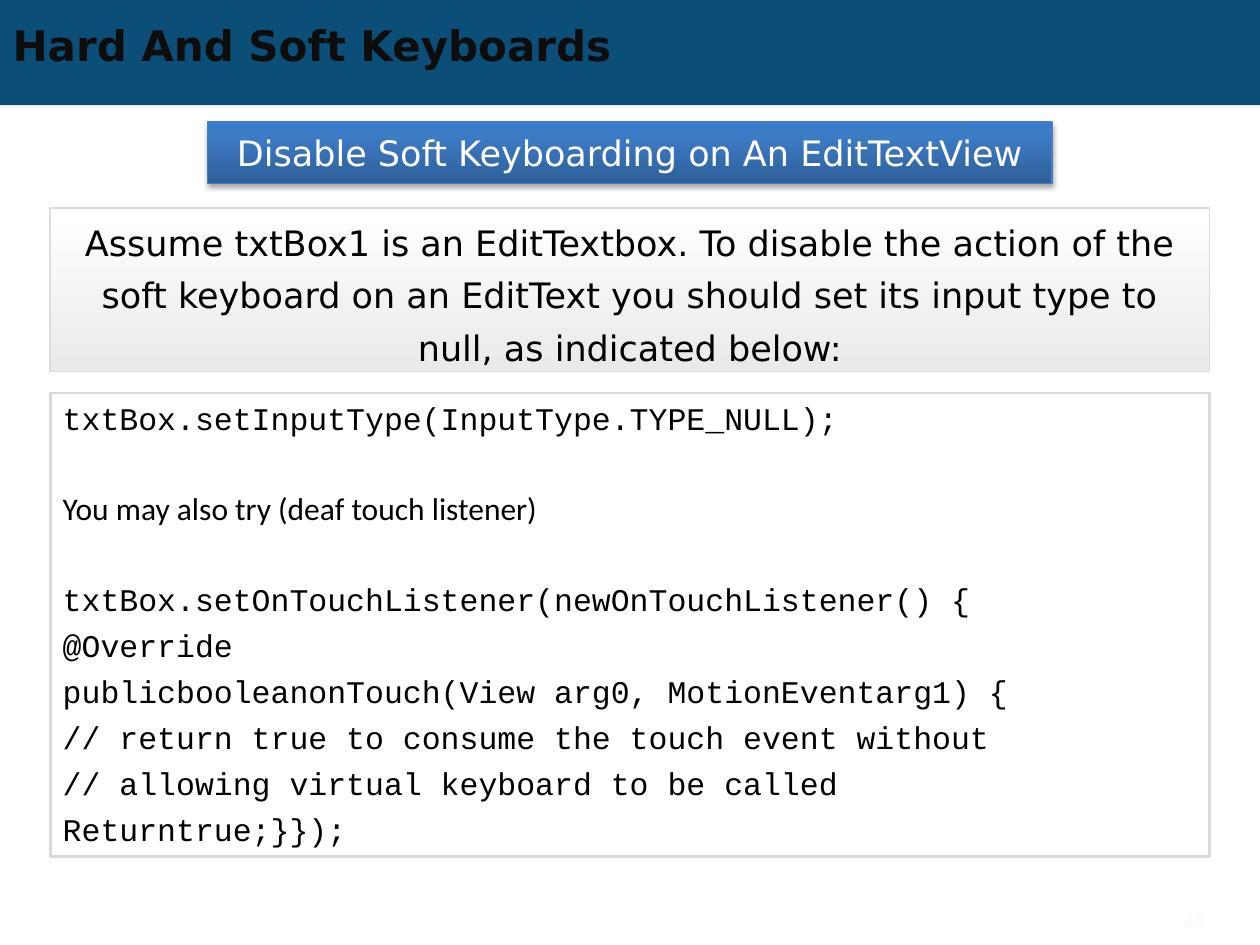
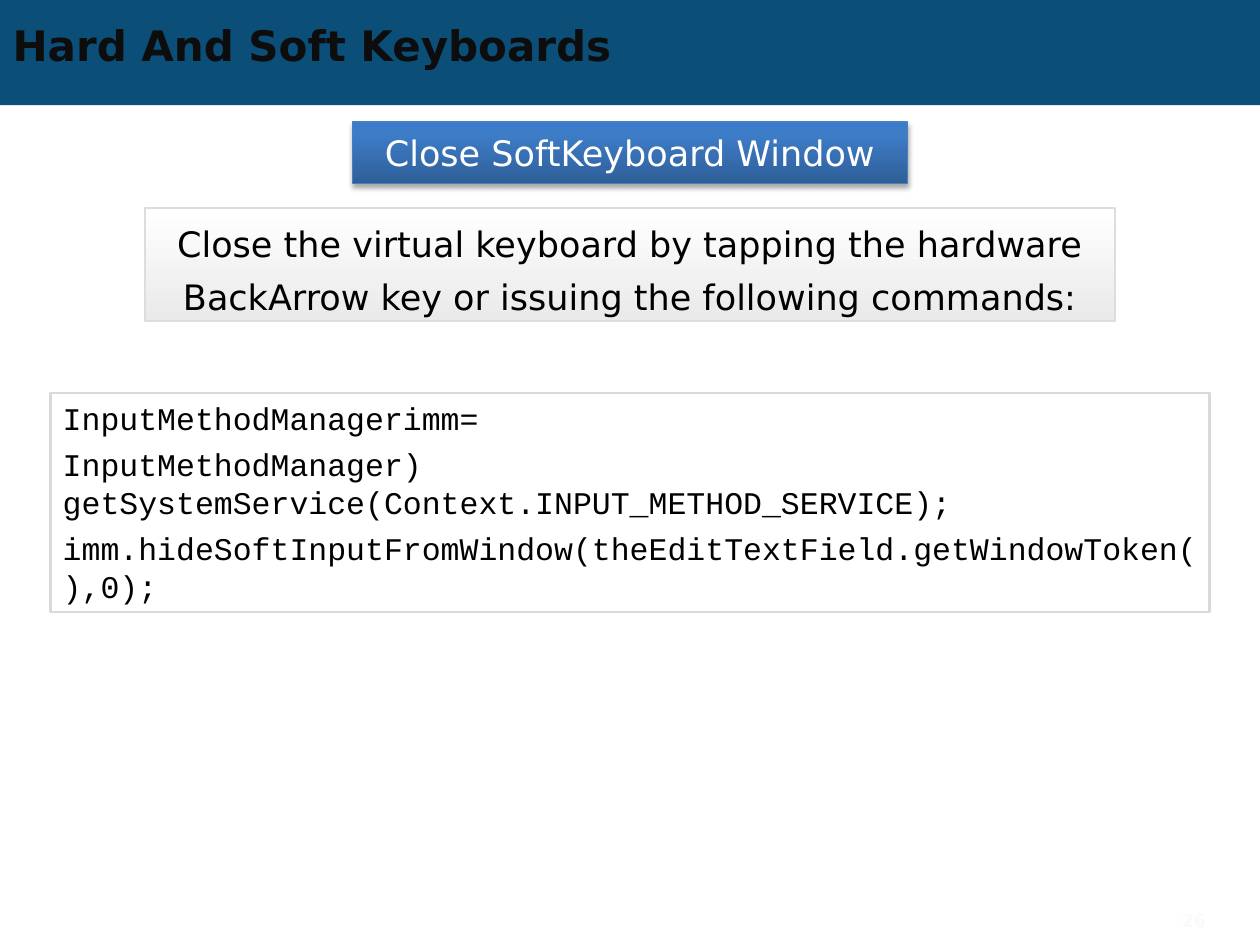
import pptx
import pptx.dml.color
import pptx.enum.shapes
import pptx.enum.text
import pptx.oxml
import pptx.oxml.ns
import pptx.util
from lxml import etree

Cm, Pt = pptx.util.Cm, pptx.util.Pt
qn = pptx.oxml.ns.qn
ALIGN = pptx.enum.text.PP_ALIGN
ANCHOR = pptx.enum.text.MSO_ANCHOR

COLORS = {
    "band": "0B4E78", "title": "0D0D0D", "number": "FAFAFA",
    "white": "FFFFFF", "black": "000000",
    "topic_low": "2F5F99", "topic_mid": "3D7CC7", "topic_high": "3A7CCB",
    "topic_line": "4B7EBC",
    "intro_low": "EAEAEA", "intro_line": "DDDDDD", "code_line": "D9D9D9",
}
SANS, PROSE, MONO = "DejaVu Sans", "Calibri", "Courier New"
SLIDE_WIDTH, SLIDE_HEIGHT = 25.4, 19.05
FIRST_NUMBER = 25
LINE_GAP, SECTION_GAP = 4.75, 30
CODE_WIDTH = 23.37

TITLE = "Hard And Soft Keyboards"
# Code lines are (font, space before, text)
SLIDES = [
    {
        "topic": "Disable Soft Keyboarding on An EditTextView",
        "topic_width": 17.02,
        "intro": "Assume txtBox1 is an EditTextbox. To disable the action of the "
                 "soft keyboard on an EditText you should set its input type to "
                 "null, as indicated below:",
        "intro_size": (CODE_WIDTH, 3.3),
        "code": [
            (MONO, 0, "txtBox.setInputType(InputType.TYPE_NULL);"),
            (PROSE, SECTION_GAP, "You may also try (deaf touch listener)"),
            (MONO, SECTION_GAP, "txtBox.setOnTouchListener(newOnTouchListener() {"),
            (MONO, LINE_GAP, "@Override"),
            (MONO, LINE_GAP, "publicbooleanonTouch(View arg0, MotionEventarg1) {"),
            (MONO, LINE_GAP, "// return true to consume the touch event without"),
            (MONO, LINE_GAP, "// allowing virtual keyboard to be called"),
            (MONO, LINE_GAP, "Returntrue;}});"),
        ],
        "code_height": 9.35,
    },
    {
        "topic": "Close SoftKeyboard Window",
        "topic_width": 11.18,
        "intro": "Close the virtual keyboard by tapping the hardware BackArrow "
                 "key or issuing the following commands:",
        "intro_size": (19.56, 2.29),
        "code": [
            (MONO, 0, "InputMethodManagerimm="),
            (MONO, LINE_GAP, "InputMethodManager) "
                             "getSystemService(Context.INPUT_METHOD_SERVICE);"),
            (MONO, LINE_GAP, "imm.hideSoftInputFromWindow("
                             "theEditTextField.getWindowToken(),0);"),
        ],
        "code_height": 4.42,
    },
]


def rgb(name):
    return pptx.dml.color.RGBColor.from_string(COLORS[name])


def style(paragraph, font, size, color, bold=False, align=ALIGN.LEFT):
    paragraph.alignment = align
    paragraph.font.name = font
    paragraph.font.size = Pt(size)
    paragraph.font.bold = bold
    paragraph.font.color.rgb = rgb(color)
    for run in paragraph.runs:
        run.font.name = font
        run.font.size = Pt(size)
        run.font.bold = bold
        run.font.color.rgb = rgb(color)


def add_panel(slide, top, width, height, line, line_width):
    """Add a horizontally centred rectangle without fill or shadow."""
    panel = slide.shapes.add_shape(
        pptx.enum.shapes.MSO_SHAPE.RECTANGLE,
        Cm((SLIDE_WIDTH - width) / 2), Cm(top), Cm(width), Cm(height))
    panel.shadow.inherit = False
    panel.fill.background()
    panel.line.color.rgb = rgb(line)
    panel.line.width = Pt(line_width)
    panel.text_frame.word_wrap = True
    return panel


def set_gradient(panel, angle, stops):
    panel.fill.gradient()
    panel.fill.gradient_angle = angle
    stop_list = panel.element.spPr.find(qn("a:gradFill")).find(qn("a:gsLst"))
    for stop in list(stop_list):
        stop_list.remove(stop)
    for percent, color in stops:
        stop = etree.SubElement(stop_list, qn("a:gs"), pos=str(percent * 1000))
        etree.SubElement(stop, qn("a:srgbClr"), val=COLORS[color])


def add_shadow(panel):
    effects = panel.element.spPr.find(qn("a:effectLst"))
    shadow = etree.SubElement(
        effects, qn("a:outerShdw"), blurRad=str(Pt(3.1)), dist=str(Pt(1.8)),
        dir="5400000", rotWithShape="0")
    color = etree.SubElement(shadow, qn("a:srgbClr"), val=COLORS["black"])
    etree.SubElement(color, qn("a:alpha"), val="35000")


def prepare_layout(layout, slide):
    """Place the title and put the header band behind everything."""
    title = layout.placeholders[0]
    title.left, title.top = Cm(0), Cm(0.36)
    title.width, title.height = Cm(22.86), Cm(1.09)

    band = add_panel(slide, 0, SLIDE_WIDTH, 2.12, "band", 0.75)
    band.fill.solid()
    band.fill.fore_color.rgb = rgb("band")
    band.line.fill.background()
    band.element.nvSpPr.cNvPr.set("id", "20")
    layout.shapes.element.insert(2, band.element)


def add_title(slide):
    frame = slide.shapes.title.text_frame
    frame.text = TITLE
    frame.auto_size = pptx.enum.text.MSO_AUTO_SIZE.NONE
    frame.vertical_anchor = ANCHOR.MIDDLE
    style(frame.paragraphs[0], SANS, 24, "title", bold=True)


def add_topic(slide, text, width):
    topic = add_panel(slide, 2.46, width, 1.24, "topic_line", 0.75)
    set_gradient(topic, 90, [(0, "topic_low"), (80, "topic_mid"), (100, "topic_high")])
    add_shadow(topic)
    topic.text_frame.text = text
    topic.text_frame.vertical_anchor = ANCHOR.MIDDLE
    style(topic.text_frame.paragraphs[0], SANS, 20, "white", align=ALIGN.CENTER)


def add_intro(slide, text, size):
    intro = add_panel(slide, 4.19, *size, "intro_line", 1)
    set_gradient(intro, 270, [(0, "white"), (100, "intro_low")])
    intro.text_frame.text = text
    intro.text_frame.vertical_anchor = ANCHOR.MIDDLE
    paragraph = intro.text_frame.paragraphs[0]
    paragraph.line_spacing = Pt(30)
    style(paragraph, SANS, 20, "black", align=ALIGN.CENTER)


def add_code(slide, lines, height):
    code = add_panel(slide, 7.92, CODE_WIDTH, height, "code_line", 1.5)
    frame = code.text_frame
    frame.vertical_anchor = ANCHOR.TOP
    frame.text = "\n".join(text for _, _, text in lines)
    for paragraph, (font, gap, _) in zip(frame.paragraphs, lines):
        paragraph.space_before = Pt(gap)
        style(paragraph, font, 18, "black")


def add_number(slide, number):
    box = slide.shapes.add_textbox(Cm(22), Cm(18.05), Cm(2.56), Cm(1))
    box.text_frame.word_wrap = True
    box.text_frame.vertical_anchor = ANCHOR.MIDDLE
    paragraph = box.text_frame.paragraphs[0]
    paragraph.text = str(number)
    style(paragraph, SANS, 10, "number", bold=True, align=ALIGN.RIGHT)
    # Turn the run into a slide number field
    field = paragraph.runs[0]._r
    field.tag = qn("a:fld")
    field.set("id", "{B6F15528-21DE-4FAA-801E-634DDDAF4B2B}")
    field.set("type", "slidenum")


def main():
    deck = pptx.Presentation()
    deck.slide_width, deck.slide_height = Cm(SLIDE_WIDTH), Cm(SLIDE_HEIGHT)
    deck.element.set("firstSlideNum", str(FIRST_NUMBER))
    title_only = deck.slide_layouts[5]

    for index, content in enumerate(SLIDES):
        slide = deck.slides.add_slide(title_only)
        if index == 0:
            prepare_layout(title_only, slide)
        add_title(slide)
        add_topic(slide, content["topic"], content["topic_width"])
        add_intro(slide, content["intro"], content["intro_size"])
        add_code(slide, content["code"], content["code_height"])
        add_number(slide, FIRST_NUMBER + index)

    deck.save("out.pptx")


if __name__ == "__main__":
    main()
